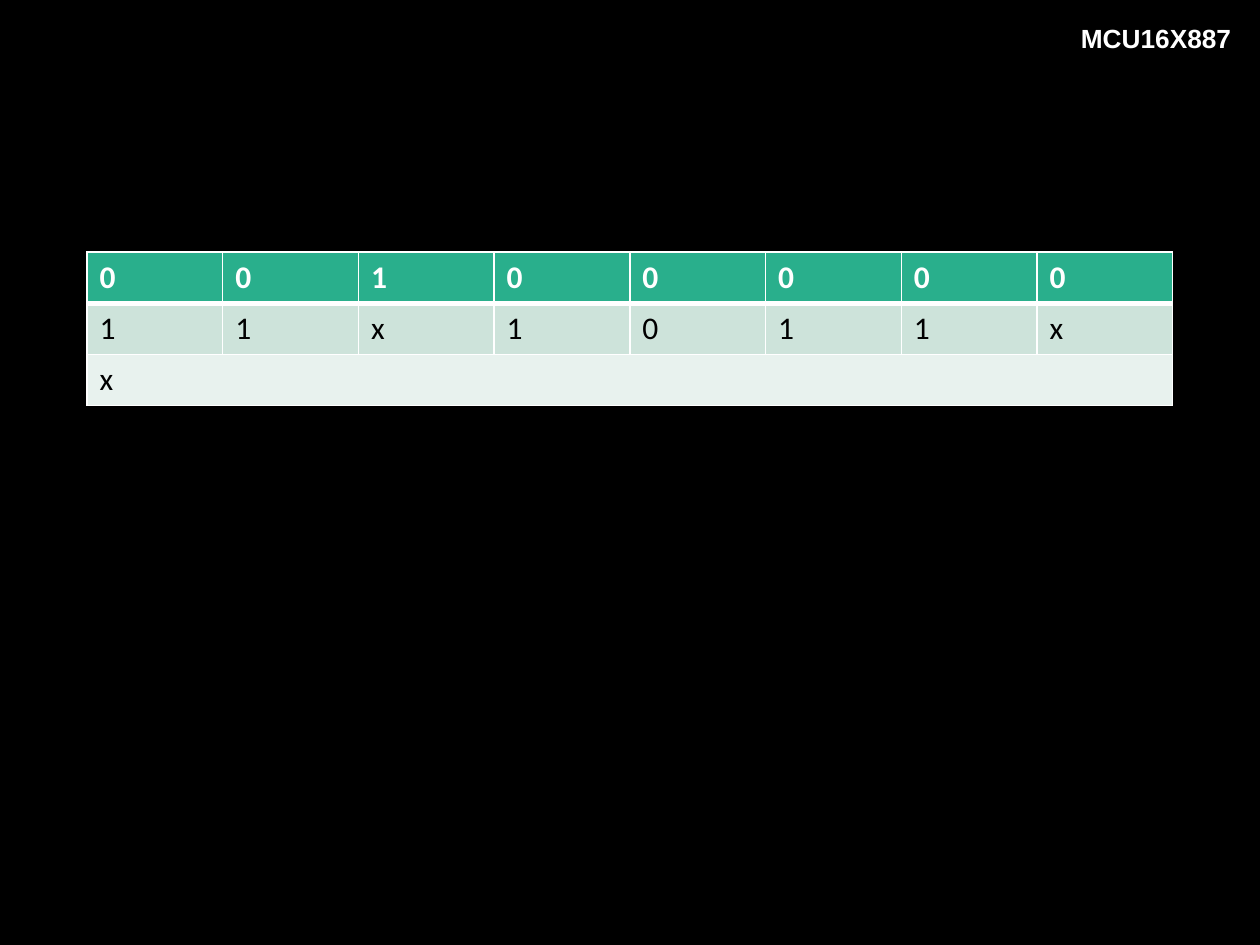
"""Build a slide with a table of instruction bits and a device label."""
from lxml import etree
from pptx import Presentation
from pptx.dml.color import RGBColor
from pptx.enum.text import MSO_ANCHOR, PP_ALIGN
from pptx.oxml.ns import qn
from pptx.util import Inches, Pt

RIGHT = PP_ALIGN.RIGHT
MIDDLE = MSO_ANCHOR.MIDDLE
BLACK = RGBColor(0x00, 0x00, 0x00)
WHITE = RGBColor(0xFF, 0xFF, 0xFF)
GREEN = RGBColor(0x29, 0xAF, 0x8C)
PALE_GREEN = RGBColor(0xCD, 0xE3, 0xDA)
LIGHT_GREEN = RGBColor(0xE8, 0xF2, 0xEE)

BIT_ROWS = [
    ("0010 0000".replace(" ", ""), GREEN, WHITE, True),
    ("11x1011x", PALE_GREEN, BLACK, False),
    ("x", LIGHT_GREEN, BLACK, False),
]
COLUMN_COUNT = 8


def set_border(cell, side, width):
    line = etree.SubElement(cell._tc.get_or_add_tcPr(), qn(f"a:ln{side}"), w=str(Pt(width)))
    fill = etree.SubElement(line, qn("a:solidFill"))
    etree.SubElement(fill, qn("a:srgbClr"), val=str(WHITE))


def set_font(paragraph, name, size, color, bold):
    font = paragraph.font
    font.name = name
    font.size = Pt(size)
    font.bold = bold
    font.color.rgb = color


prs = Presentation()
prs.slide_width = Inches(10)
prs.slide_height = Inches(7.5)
slide = prs.slides.add_slide(prs.slide_layouts[6])
slide.background.fill.solid()
slide.background.fill.fore_color.rgb = BLACK

device_label = slide.shapes.add_textbox(Inches(7.91), Inches(0.13), Inches(1.96), Inches(0.34))
device_label.text_frame.word_wrap = True
device_label.text_frame.vertical_anchor = MIDDLE
device_name = device_label.text_frame.paragraphs[0]
device_name.text = "MCU16X887"
device_name.alignment = RIGHT
set_font(device_name, "Arial", 15, WHITE, True)

bit_table = slide.shapes.add_table(
    len(BIT_ROWS), COLUMN_COUNT, Inches(0.69), Inches(2), Inches(8.62), Inches(1.22)
).table
for row, (bits, fill_color, text_color, bold) in enumerate(BIT_ROWS):
    for column in range(COLUMN_COUNT):
        cell = bit_table.cell(row, column)
        for side in "LRTB":
            header_edge = (row, side) in ((0, "B"), (1, "T"))
            set_border(cell, side, 3 if header_edge else 1)
        cell.fill.solid()
        cell.fill.fore_color.rgb = fill_color
        bit = cell.text_frame.paragraphs[0]
        bit.text = bits[column:column + 1]
        set_font(bit, "Calibri", 18, text_color, bold)
bit_table.cell(2, 0).merge(bit_table.cell(2, COLUMN_COUNT - 1))

prs.save("out.pptx")
